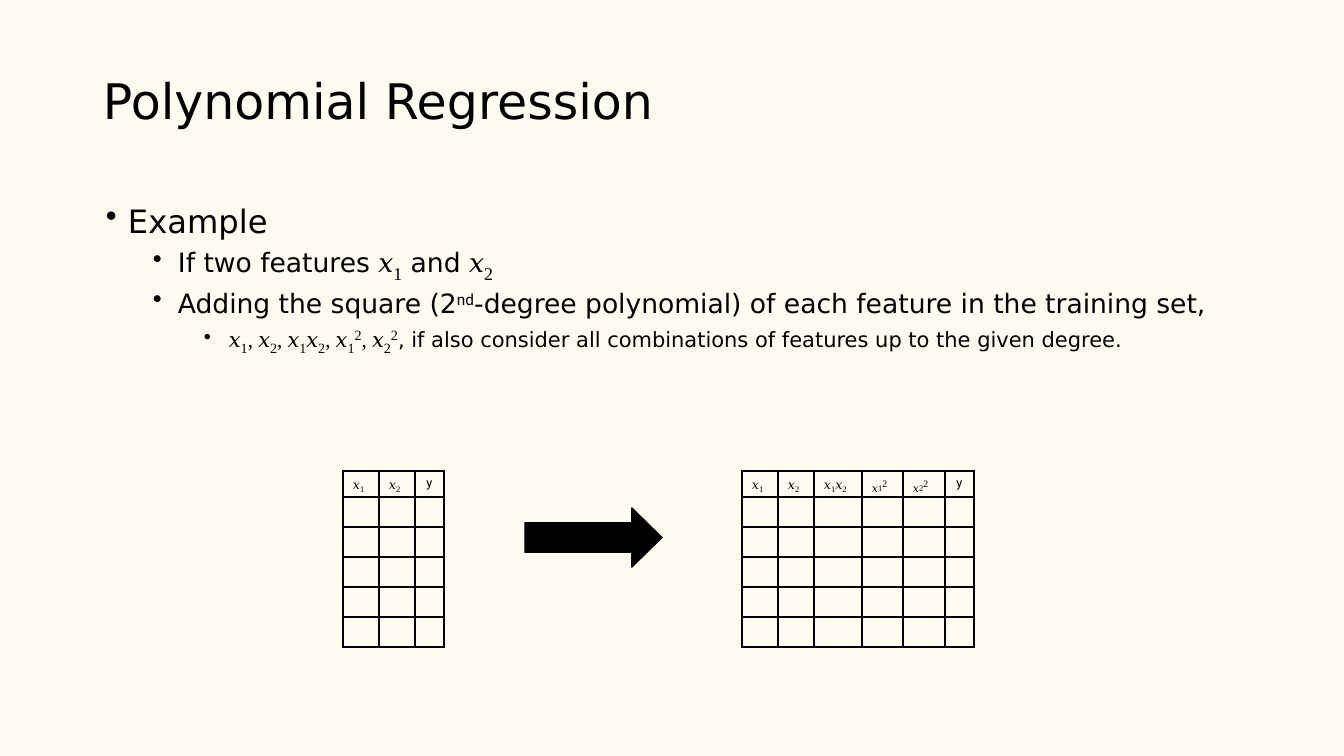
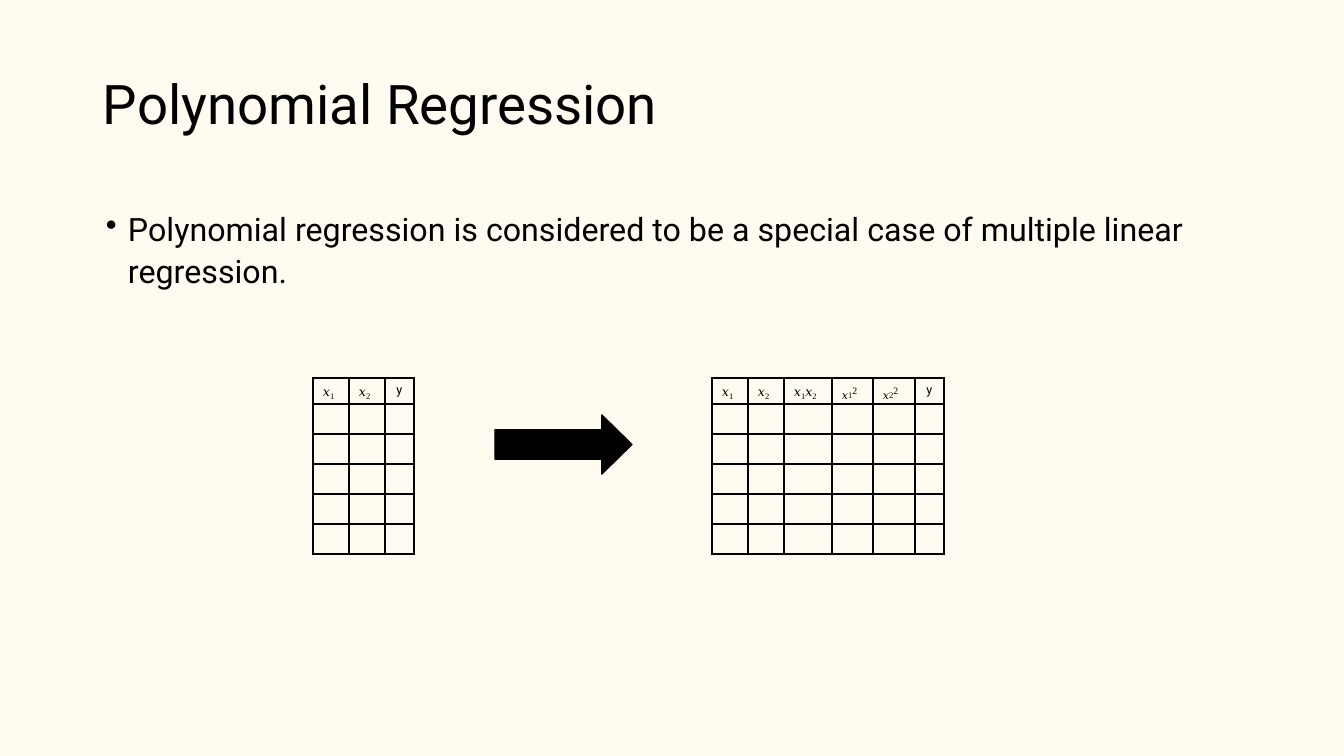
from dataclasses import dataclass

from lxml import etree
from pptx import Presentation
from pptx.dml.color import RGBColor
from pptx.enum.shapes import MSO_SHAPE
from pptx.enum.text import MSO_ANCHOR, PP_ALIGN
from pptx.oxml.ns import qn
from pptx.util import Pt

RIGHT_ARROW = MSO_SHAPE.RIGHT_ARROW
TOP = MSO_ANCHOR.TOP
LEFT, CENTER = PP_ALIGN.LEFT, PP_ALIGN.CENTER
PX = 914400 / 100.8


@dataclass(frozen=True)
class Theme:
    paper: str = "FFFBF0"
    ink: str = "000000"
    wide: str = "DejaVu Sans"
    narrow: str = "Roboto"
    serif: str = "Times New Roman"
    border: float = 1.5
    outline: float = 1


THEME = Theme()

# Run kinds: font and baseline shift in percent
KINDS = {
    "wide": (THEME.wide, 0),
    "narrow": (THEME.narrow, 0),
    "ordinal": (THEME.narrow, 30),
    "math": (THEME.serif, 0),
    "sub": (THEME.serif, -25),
    "sup": (THEME.serif, 30),
}

# Bullet levels: left indent and hanging indent in px
INDENTS = [(28, -22), (78, -25), (129, -25)]


# Content: a run is (text, kind, points)
def feature(number, size, sub_size, lead=""):
    return [(lead + "𝑥", "math", size), (number, "sub", sub_size)]


def square(number, size, sub_size):
    return feature(number, size, sub_size, ", ") + [("2", "sup", sub_size)]


def header_square(number):
    return [("𝑥", "sub", 13.5), (number, "sub", 10.5), ("2", "math", 7)]


X1, X2 = feature("1", 9, 10.5), feature("2", 9, 10.5)
TARGET = [("y", "narrow", 9)]

# Table columns: width, header runs, alignment, top inset
FIRST = (36, X1, LEFT, 5)
SECOND = (36, X2, LEFT, 5)
LAST = (29, TARGET, CENTER, 5)
FEATURES = [FIRST, SECOND, LAST]
EXPANDED = [
    FIRST,
    SECOND,
    (48, X1 + X2, LEFT, 5),
    (41, header_square("1"), LEFT, 0),
    (42, header_square("2"), LEFT, 0),
    LAST,
]
HEADER_HEIGHT, ROW_HEIGHT, EMPTY_ROWS = 26, 30, 5

# A bullet is (level, space before, runs)
SLIDES = [
    {
        "title": [("Polynomial Regression", "wide", 35)],
        "body_top": 201,
        "spacing": 1,
        "bullets": [
            (0, 0, [("Example", "wide", 23)]),
            (1, 1.4, [("If two features ", "wide", 19)]
                + feature("1", 19, 22)
                + [(" and ", "wide", 19)]
                + feature("2", 19, 22)),
            (1, 2.1, [
                ("Adding the square (2", "wide", 19),
                ("nd", "ordinal", 19),
                ("-degree polynomial) of each feature in the training set,",
                 "wide", 19),
            ]),
            (2, 3.3, feature("1", 15, 17.5)
                + feature("2", 15, 17.5, ", ")
                + feature("1", 15, 17.5, ", ")
                + feature("2", 15, 17.5)
                + square("1", 15, 17.5)
                + square("2", 15, 17.5)
                + [(", if also consider all combinations of features up to"
                    " the given degree.", "wide", 15)]),
        ],
        "diagram": (343, 471),
    },
    {
        "title": [("Polynomial Regression", "narrow", 39)],
        "body_top": 207,
        "spacing": 1.07,
        "bullets": [
            (0, 0, [("Polynomial regression is considered to be a special case"
                     " of multiple linear regression.", "narrow", 23)]),
        ],
        "diagram": (313, 378),
    },
]


def px(*lengths):
    return [round(length * PX) for length in lengths]


def style_font(font, kind, size):
    font.name = KINDS[kind][0]
    font.size = Pt(size)


def write(para, runs):
    """Fill a paragraph, with fonts on the paragraph where runs agree."""
    para.font.color.rgb = RGBColor.from_string(THEME.ink)
    uniform = len(runs) == 1
    if uniform:
        style_font(para.font, *runs[0][1:])
    for text, kind, size in runs:
        span = para.add_run()
        span.text = text
        if not uniform:
            style_font(span.font, kind, size)
        shift = KINDS[kind][1]
        if shift:
            span._r.get_or_add_rPr().set("baseline", str(shift * 1000))


def indent(para, left, hanging=0):
    properties = para._p.get_or_add_pPr()
    for name, length in zip(("marL", "indent"), px(left, hanging)):
        properties.set(name, str(length))
    return properties


def add_bullet(para, level):
    properties = indent(para, *INDENTS[level])
    properties.set("lvl", str(level))
    colour = etree.SubElement(properties, qn("a:buClr"))
    etree.SubElement(colour, qn("a:srgbClr"), val=THEME.ink)
    etree.SubElement(properties, qn("a:buChar"), char="•")


def add_text_frame(page, left, top, width, height):
    box = page.shapes.add_textbox(*px(left, top, width, height))
    frame = box.text_frame
    frame.word_wrap = True
    frame.vertical_anchor = TOP
    frame.margin_left = frame.margin_right = 0
    frame.margin_top = frame.margin_bottom = 0
    return frame


def add_body(page, content):
    frame = add_text_frame(page, 100, content["body_top"], 1140, 157)
    for index, (level, before, runs) in enumerate(content["bullets"]):
        para = frame.add_paragraph() if index else frame.paragraphs[0]
        add_bullet(para, level)
        if before:
            para.space_before = Pt(before)
        para.line_spacing = content["spacing"]
        write(para, runs)


def style_cell(cell, top_inset):
    cell.margin_left = cell.margin_right = cell.margin_bottom = 0
    cell.margin_top = px(top_inset)[0]
    properties = cell._tc.get_or_add_tcPr()
    for side in ("lnL", "lnR", "lnT", "lnB"):
        line = etree.SubElement(properties, qn(f"a:{side}"),
                                w=str(Pt(THEME.border)))
        fill = etree.SubElement(line, qn("a:solidFill"))
        etree.SubElement(fill, qn("a:srgbClr"), val=THEME.ink)
    cell.fill.background()


def add_grid(page, left, top, columns):
    width = sum(column[0] for column in columns)
    height = HEADER_HEIGHT + EMPTY_ROWS * ROW_HEIGHT
    table = page.shapes.add_table(EMPTY_ROWS + 1, len(columns),
                                  *px(left, top, width, height)).table
    table.first_row = table.horz_banding = False
    for index, row in enumerate(table.rows):
        row.height = px(ROW_HEIGHT if index else HEADER_HEIGHT)[0]
    for index, (width, runs, align, inset) in enumerate(columns):
        table.columns[index].width = px(width)[0]
        for row in range(EMPTY_ROWS + 1):
            cell = table.cell(row, index)
            style_cell(cell, 0 if row else inset)
            para = cell.text_frame.paragraphs[0]
            if row:
                style_font(para.font, "narrow", 9)
                continue
            para.alignment = align
            if align == LEFT:
                indent(para, 10)
            write(para, runs)


def add_arrow(page, left, top):
    arrow = page.shapes.add_shape(RIGHT_ARROW, *px(left, top, 137, 59))
    arrow.shadow.inherit = False
    arrow.adjustments[0] = 0.5
    arrow.adjustments[1] = 0.51
    ink = RGBColor.from_string(THEME.ink)
    arrow.fill.solid()
    arrow.fill.fore_color.rgb = ink
    arrow.line.color.rgb = ink
    arrow.line.width = Pt(THEME.outline)


def add_slide(deck, content):
    page = deck.slides.add_slide(deck.slide_layouts[6])
    page.background.fill.solid()
    page.background.fill.fore_color.rgb = RGBColor.from_string(THEME.paper)

    # Title and bullets
    title = add_text_frame(page, 103, 70, 560, 64)
    write(title.paragraphs[0], content["title"])
    add_body(page, content)

    # Feature table, arrow, expanded table
    left, top = content["diagram"]
    add_grid(page, left, top, FEATURES)
    add_arrow(page, left + 182, top + 37)
    add_grid(page, left + 399, top, EXPANDED)


def main():
    deck = Presentation()
    deck.slide_width, deck.slide_height = px(1344, 756)
    for content in SLIDES:
        add_slide(deck, content)
    deck.save("out.pptx")


if __name__ == "__main__":
    main()
